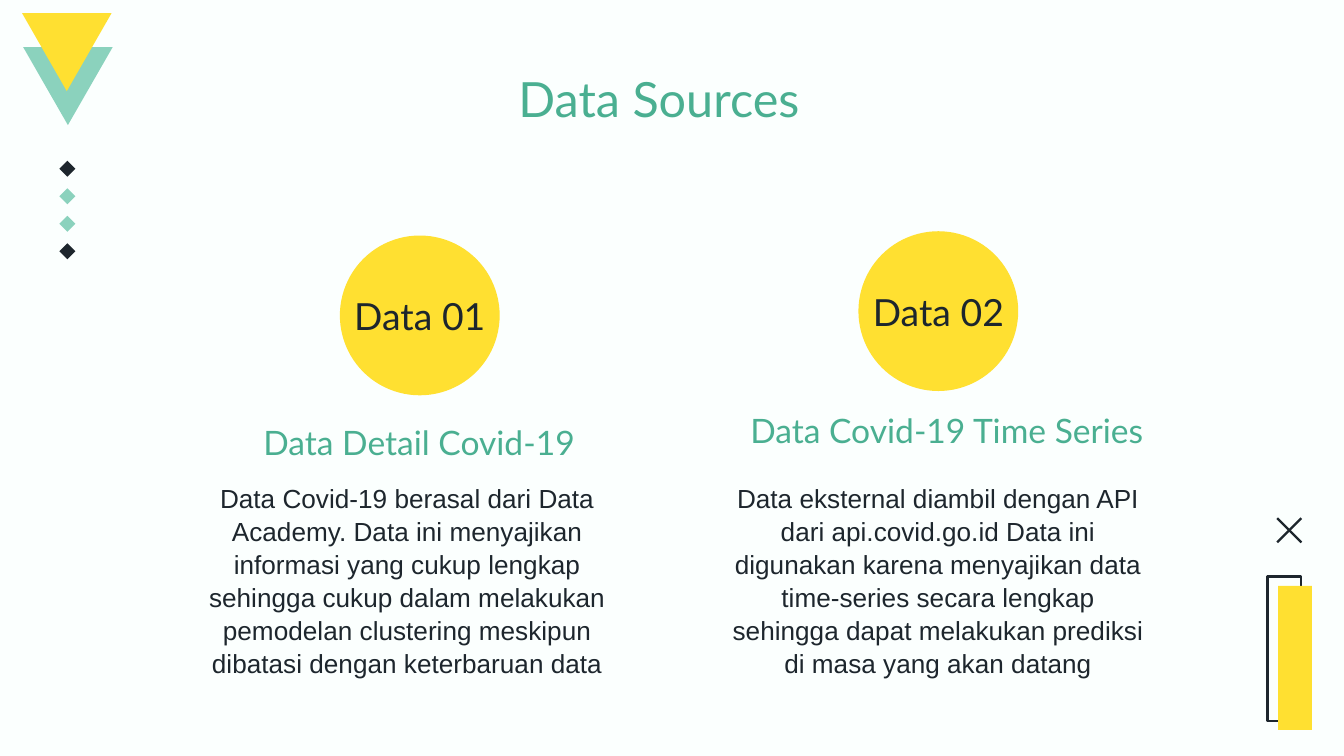
from pptx import Presentation
from pptx.dml.color import RGBColor
from pptx.enum import shapes, text
from pptx.oxml.ns import qn
from pptx.util import Pt

BACKGROUND = RGBColor(0xFB, 0xFF, 0xFE)
YELLOW = RGBColor(0xFF, 0xE0, 0x31)
MINT = RGBColor(0x8B, 0xD2, 0xBD)
GREEN = RGBColor(0x4A, 0xAF, 0x91)
DARK = RGBColor(0x1D, 0x26, 0x2D)
KIND = shapes.MSO_SHAPE
ANCHOR = text.MSO_ANCHOR

deck = Presentation()
deck.slide_width, deck.slide_height = Pt(720), Pt(405)
page = deck.slides.add_slide(deck.slide_layouts[5])
page.background.fill.solid()
page.background.fill.fore_color.rgb = BACKGROUND


def add_filled(kind, left, top, width, height, color):
    shape = page.shapes.add_shape(kind, Pt(left), Pt(top), Pt(width), Pt(height))
    shape.shadow.inherit = False
    shape.fill.solid()
    shape.fill.fore_color.rgb = color
    shape.line.fill.background()
    return shape


def write(box, words, size, font, color, anchor):
    """Fill a box with one centred paragraph."""
    frame = box.text_frame
    frame.text = words
    frame.word_wrap = True
    frame.auto_size = text.MSO_AUTO_SIZE.NONE
    frame.vertical_anchor = anchor
    frame.margin_left = frame.margin_right = Pt(7.2)
    frame.margin_top = frame.margin_bottom = Pt(7.2)
    para = frame.paragraphs[0]
    para.alignment = text.PP_ALIGN.CENTER
    span = para.runs[0].font
    span.size, span.name, span.color.rgb = Pt(size), font, color
    return para


# Top-left ornament
add_filled(KIND.FLOWCHART_MERGE, 12.4, 25.2, 48, 41.8, MINT)
add_filled(KIND.FLOWCHART_MERGE, 11.8, 7.0, 48, 41.8, YELLOW)
for row, color in enumerate([DARK, MINT, MINT, DARK]):
    add_filled(KIND.DIAMOND, 31.8, 86.1 + 14.75 * row, 8.6, 8.6, color)

# Bottom-right ornament
outline = add_filled(KIND.RECTANGLE, 679, 308.8, 18, 77.4, BACKGROUND)
outline.fill.background()
outline.line.color.rgb = DARK
outline.line.width = Pt(1.3)
add_filled(KIND.RECTANGLE, 684.7, 313.9, 18.2, 77.2, YELLOW)
for start, end in [(277.6, 290.6), (290.6, 277.6)]:
    stroke = page.shapes.add_connector(
        shapes.MSO_CONNECTOR.STRAIGHT, Pt(684.2), Pt(start), Pt(697.2), Pt(end))
    stroke.line.color.rgb = DARK
    stroke.line.width = Pt(1.2)
    properties = stroke._element.spPr
    properties.append(properties.makeelement(qn("a:effectLst"), {}))

# Title
title = page.shapes.title
title.left, title.top, title.width, title.height = Pt(69.8), Pt(29.5), Pt(566.6), Pt(53.3)
write(title, "Data Sources", 26, "Lato", GREEN, ANCHOR.TOP)

# Sources: label, circle (left, top), heading and its box, description and its box
CIRCLE = 85.6
sources = [
    ("Data 01", (182.1, 126.2),
     "Data Detail Covid-19", (116.6, 220.3, 216, 34.6),
     "Data Covid-19 berasal dari Data Academy. Data ini menyajikan informasi "
     "yang cukup lengkap sehingga cukup dalam melakukan pemodelan clustering "
     "meskipun dibatasi dengan keterbaruan data", (97.9, 250.6, 240.5, 141.8)),
    ("Data 02", (459.9, 123.9),
     "Data Covid-19 Time Series", (385.2, 213.8, 244.1, 34.6),
     "Data eksternal diambil dengan API dari api.covid.go.id Data ini digunakan "
     "karena menyajikan data time-series secara lengkap sehingga dapat melakukan "
     "prediksi di masa yang akan datang", (385.2, 250.6, 234.7, 119.5)),
]
for label, (left, top), heading, heading_area, description, description_area in sources:
    add_filled(KIND.OVAL, left, top, CIRCLE, CIRCLE, YELLOW)
    label_area = (left - 6.2, top + 31.7, CIRCLE + 12.4, 22.3)
    box = page.shapes.add_textbox(*map(Pt, label_area))
    write(box, label, 20, "Lato", DARK, ANCHOR.MIDDLE)
    box = page.shapes.add_textbox(*map(Pt, heading_area))
    write(box, heading, 18, "Lato", GREEN, ANCHOR.BOTTOM)
    box = page.shapes.add_textbox(*map(Pt, description_area))
    para = write(box, description, 14, "Arial", DARK, ANCHOR.TOP)
    para.line_spacing = 1.05

deck.save("out.pptx")
